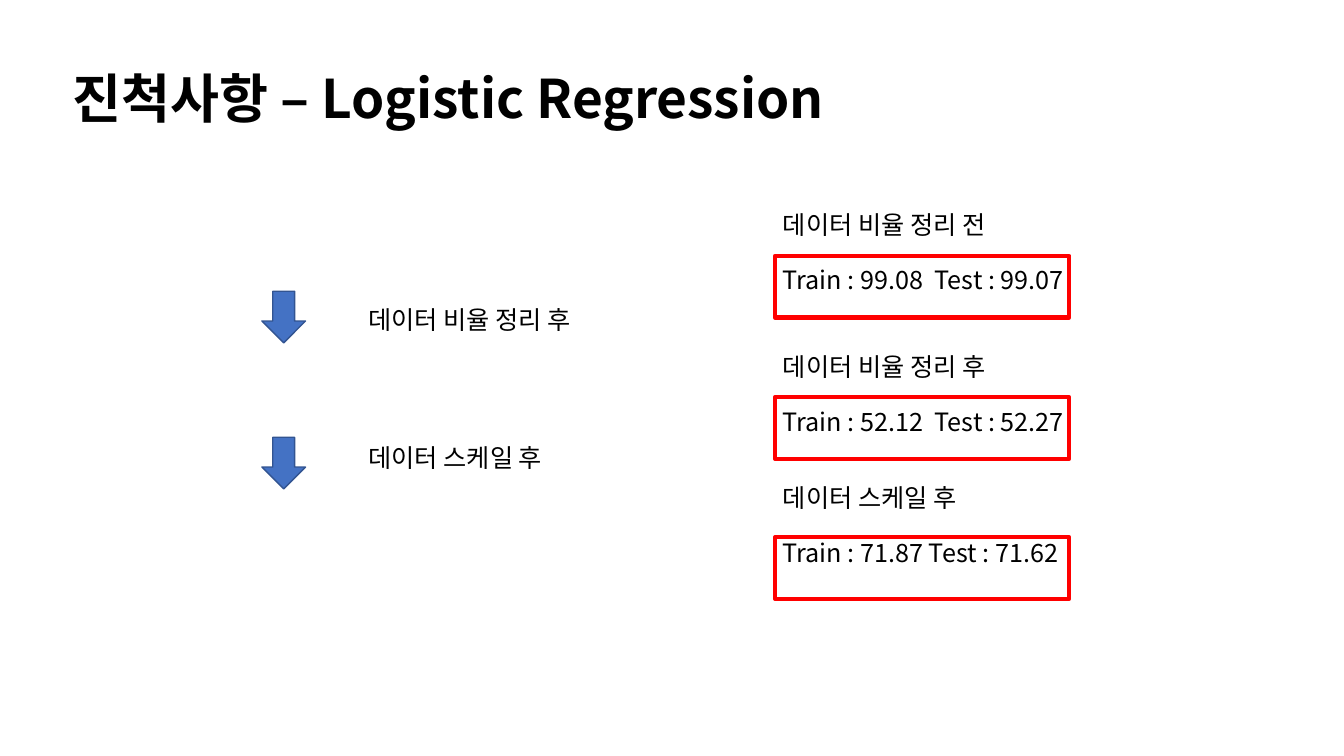
from lxml import etree
from pptx import Presentation, util as u
from pptx.dml.color import RGBColor
from pptx.enum import shapes, text
from pptx.oxml.ns import qn

COLORS = {"text": "000000", "arrow": "4472C4", "arrow_line": "325491", "frame": "FF0000"}
FONT = "Noto Sans CJK KR"
BODY = {"name": FONT, "size": u.Pt(18), "bold": False}
TITLE = {"name": FONT, "size": u.Pt(38), "bold": True}


def add_text(left, top, width, height, lines, font_format, gap=0):
    """Add a text box with one paragraph per line, gap points apart."""
    box = slide.shapes.add_textbox(u.Cm(left), u.Cm(top), u.Cm(width), u.Cm(height))
    frame = box.text_frame
    frame.word_wrap = True
    for index, line in enumerate(lines):
        paragraph = frame.add_paragraph() if index else frame.paragraphs[0]
        if index:
            paragraph.space_before = u.Pt(gap)
        run = paragraph.add_run()
        run.text = line
        for name, value in font_format.items():
            setattr(run.font, name, value)
        run.font.color.rgb = RGBColor.from_string(COLORS["text"])
        east_asian = etree.SubElement(run.font._element, qn("a:ea"))
        east_asian.set("typeface", FONT)
    return frame


def add_outlined(kind, left, top, width, height, line_color, line_width):
    """Add a preset shape without fill or shadow."""
    shape = slide.shapes.add_shape(kind, u.Cm(left), u.Cm(top), u.Cm(width), u.Cm(height))
    shape.shadow.inherit = False
    shape.fill.background()
    shape.line.color.rgb = RGBColor.from_string(COLORS[line_color])
    shape.line.width = u.Pt(line_width)
    return shape


presentation = Presentation()
presentation.slide_width = u.Cm(33.87)
presentation.slide_height = u.Cm(19.05)
slide = presentation.slides.add_slide(presentation.slide_layouts[6])

# Title
title = add_text(1.57, 0.71, 29.21, 3.68, ["진척사항 – Logistic Regression"], TITLE)
title.vertical_anchor = text.MSO_ANCHOR.MIDDLE
title.paragraphs[0].line_spacing = 0.9

# Steps on the left: arrow and label
steps = [(7.34, 7.54, "데이터 비율 정리 후"), (11.02, 11.02, "데이터 스케일 후")]
for arrow_top, label_top, label in steps:
    arrow = add_outlined(shapes.MSO_SHAPE.DOWN_ARROW, 6.6, arrow_top, 1.1, 1.3, "arrow_line", 1)
    arrow.fill.solid()
    arrow.fill.fore_color.rgb = RGBColor.from_string(COLORS["arrow"])
    add_text(9.04, label_top, 6.35, 1.02, [label], BODY)

# Scores on the right: label, values and red frame
scores = [
    (5.16, 6.45, "데이터 비율 정리 전", "Train : 99.08  Test : 99.07"),
    (8.74, 10.01, "데이터 비율 정리 후", "Train : 52.12  Test : 52.27"),
    (12.04, 13.54, "데이터 스케일 후", "Train : 71.87 Test : 71.62"),
]
for text_top, frame_top, label, values in scores:
    add_text(19.48, text_top, 7.8, 2.57, [label, values], BODY, gap=17.5)
    add_outlined(shapes.MSO_SHAPE.RECTANGLE, 19.53, frame_top, 7.42, 1.55, "frame", 3)

presentation.save("out.pptx")
